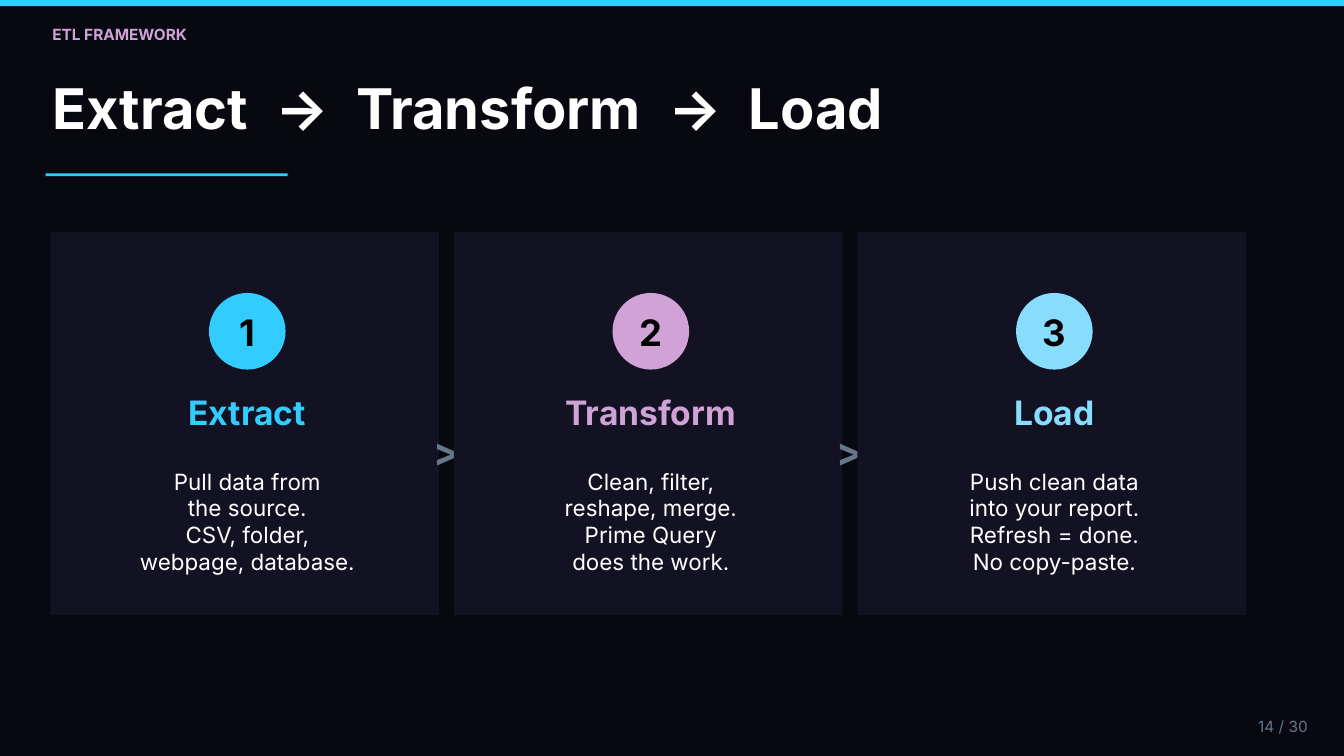
import pptx
import pptx.dml.color
import pptx.enum.shapes
import pptx.enum.text
import pptx.util

SHAPES = pptx.enum.shapes.MSO_SHAPE
ALIGN = pptx.enum.text.PP_ALIGN

# The slide is a grid of 200 columns by 112.5 rows; every length counts cells.
COLUMNS, ROWS = 200, 112.5
CELL = pptx.util.Inches(0.1)

BACKGROUND, PANEL = "080810", "121222"
CYAN, MAUVE, SKY = "33CCFF", "D1A2D6", "88DDFF"
WHITE, BLACK, GREY = "FFFFFF", "000000", "667788"

CARD_PITCH = 60.05
CARDS = [
    ("Extract", CYAN,
     ["Pull data from", "the source.", "CSV, folder,", "webpage, database."]),
    ("Transform", MAUVE,
     ["Clean, filter,", "reshape, merge.", "Prime Query", "does the work."]),
    ("Load", SKY,
     ["Push clean data", "into your report.", "Refresh = done.", "No copy-paste."]),
]


def cells(*counts):
    return [round(count * CELL) for count in counts]


def paint(fill, color):
    fill.solid()
    fill.fore_color.rgb = pptx.dml.color.RGBColor.from_string(color)


def add_block(page, kind, box, color):
    block = page.shapes.add_shape(kind, *cells(*box))
    block.shadow.inherit = False
    paint(block.fill, color)
    block.line.fill.background()


def prepare_frame(frame):
    """Remove margins and autofit, wrap lines and anchor them at the top."""
    frame.margin_left = frame.margin_right = 0
    frame.margin_top = frame.margin_bottom = 0
    frame.word_wrap = True
    frame.auto_size = pptx.enum.text.MSO_AUTO_SIZE.NONE
    frame.vertical_anchor = pptx.enum.text.MSO_ANCHOR.TOP


def format_para(para, size, align):
    para.alignment = align
    para.line_spacing = pptx.util.Pt(size * 1.2)
    para.space_before = pptx.util.Pt(0)


def add_span(para, text, size, color, bold):
    span = para.add_run()
    span.text = text
    span.font.name = "Inter"
    span.font.size = pptx.util.Pt(size)
    span.font.bold = bold
    paint(span.font.fill, color)
    return span


def add_text(page, box, lines, size, color, bold=False, align=ALIGN.CENTER):
    frame = page.shapes.add_textbox(*cells(*box)).text_frame
    prepare_frame(frame)
    for number, line in enumerate(lines):
        para = frame.add_paragraph() if number else frame.paragraphs[0]
        format_para(para, size, align)
        add_span(para, line, size, color, bold)


def add_title(page, box, words, size):
    """Fill the title placeholder, with widened spaces between the words."""
    title = page.shapes.title
    title.left, title.top, title.width, title.height = cells(*box)
    prepare_frame(title.text_frame)
    para = title.text_frame.paragraphs[0]
    format_para(para, size, ALIGN.LEFT)
    for number, word in enumerate(words):
        if number:
            gap = add_span(para, " ", size, WHITE, True)
            gap.font._element.set("spc", "1500")
        add_span(para, word, size, WHITE, True)


def add_header(page, left, top, width):
    add_block(page, SHAPES.RECTANGLE, (0, 0, COLUMNS, 0.9), CYAN)
    add_text(page, (left, top, width, 2.8), ["ETL FRAMEWORK"], 16.5, MAUVE,
             bold=True, align=ALIGN.LEFT)
    add_title(page, (left, top + 7.3, width, 10),
              ["Extract", "->", "Transform", "->", "Load"], 60)
    add_block(page, SHAPES.RECTANGLE, (left - 1, top + 22.1, 36, 0.4), CYAN)


def add_card(page, box, number, heading, color, lines):
    left, top, width, height = box
    center = left + width / 2 + 0.4

    def row(offset, row_width, row_height):
        return center - row_width / 2, top + offset, row_width, row_height

    add_block(page, SHAPES.RECTANGLE, box, PANEL)
    add_block(page, SHAPES.OVAL, row(9.1, 11.4, 11.4), color)
    add_text(page, row(11.6, 9.4, 6.5), [str(number)], 39, BLACK, bold=True)
    add_text(page, row(23.8, 55.8, 6), [heading], 36, color, bold=True)
    add_text(page, row(35.1, 53.5, 15.8), lines, 24, WHITE)


def add_cards(page, left, top, width, height):
    """Place the cards in a row; each covers the edge of the sign before it."""
    for index, (heading, color, lines) in enumerate(CARDS):
        card_left = left + index * CARD_PITCH
        if index:
            add_text(page, (card_left - 3.1, top + 29.1, 3.9, 7), [">"],
                     42, GREY, bold=True)
        add_card(page, (card_left, top, width, height),
                 index + 1, heading, color, lines)


def main():
    deck = pptx.Presentation()
    deck.slide_width, deck.slide_height = cells(COLUMNS, ROWS)
    page = deck.slides.add_slide(deck.slide_layouts.get_by_name("Title Only"))
    paint(page.background.fill, BACKGROUND)
    add_header(page, 7.8, 3.7, 178)
    add_cards(page, 7.5, 34.5, 57.8, 57)
    add_text(page, (180.1, 106.7, 14.5, 2.8), ["14 / 30"], 16.5, GREY,
             align=ALIGN.RIGHT)
    deck.save("out.pptx")


if __name__ == "__main__":
    main()
